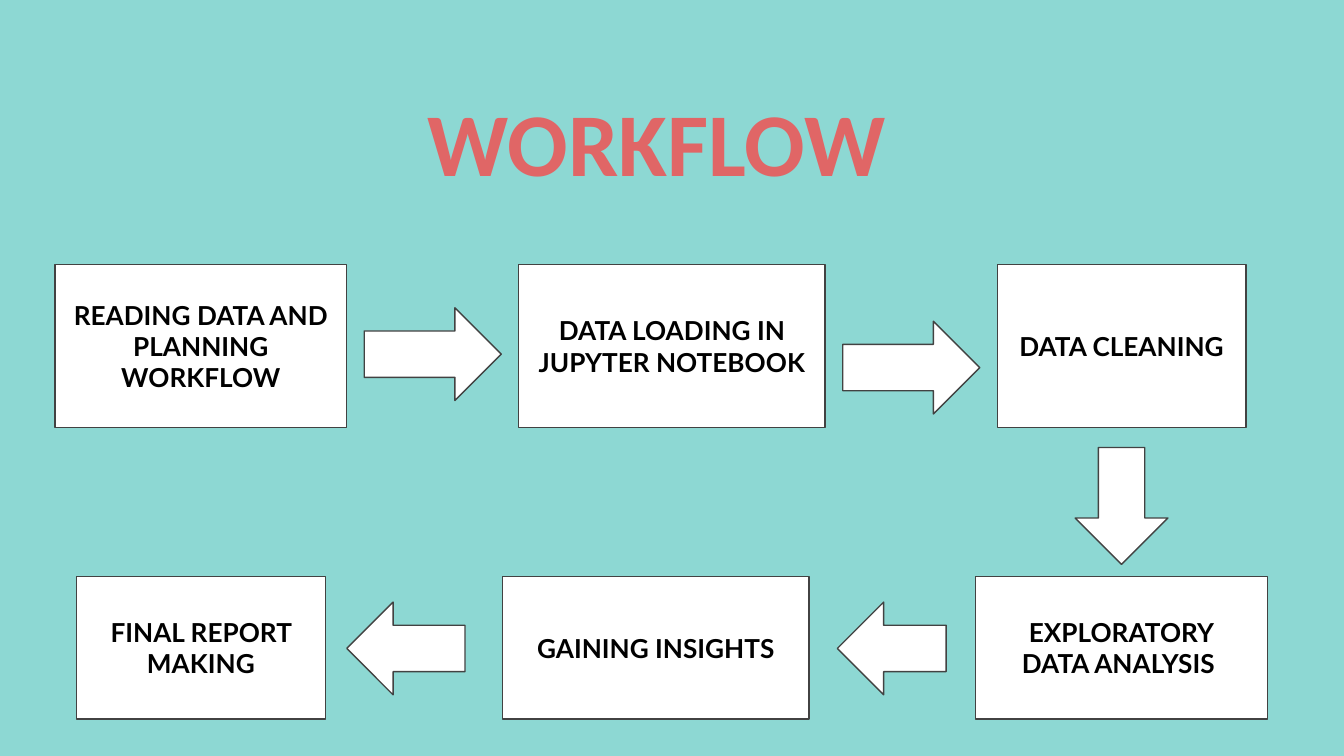
from dataclasses import dataclass

from pptx import Presentation
from pptx.dml.color import RGBColor
from pptx.enum.shapes import MSO_SHAPE
from pptx.enum.text import MSO_ANCHOR, MSO_AUTO_SIZE, PP_ALIGN
from pptx.shapes.autoshape import Shape
from pptx.slide import Slide
from pptx.text.text import TextFrame
from pptx.util import Inches, Pt


@dataclass(frozen=True)
class Theme:
    background: RGBColor = RGBColor(0x8D, 0xD8, 0xD3)
    title: RGBColor = RGBColor(0xE0, 0x66, 0x66)
    text: RGBColor = RGBColor(0, 0, 0)
    fill: RGBColor = RGBColor(0xFF, 0xFF, 0xFF)
    outline: RGBColor = RGBColor(0x42, 0x42, 0x42)
    title_font: str = "Calibri"
    step_font: str = "Lato"
    title_size: Pt = Pt(48)
    step_size: Pt = Pt(14)
    outline_width: Pt = Pt(0.75)


@dataclass(frozen=True)
class Row:
    top: float
    height: float


@dataclass(frozen=True)
class Step:
    text: str
    left: float
    width: float
    row: Row


@dataclass(frozen=True)
class Arrow:
    kind: MSO_SHAPE
    left: float
    top: float
    width: float
    height: float


THEME = Theme()
SLIDE_WIDTH = Inches(10)
SLIDE_HEIGHT = SLIDE_WIDTH * 9 // 16
INSET = Inches(0.1)
ARROW_BREADTH = 0.69
WIDE, MEDIUM, NARROW = 2.28, 2.17, 1.85
UPPER, LOWER = Row(1.97, 1.21), Row(4.29, 1.06)
LOWER_ARROW_TOP = 4.48

STEPS = [
    Step("READING DATA AND PLANNING WORKFLOW", 0.41, MEDIUM, UPPER),
    Step("DATA LOADING IN JUPYTER NOTEBOOK", 3.86, WIDE, UPPER),
    Step("DATA CLEANING", 7.42, NARROW, UPPER),
    Step("EXPLORATORY\nDATA ANALYSIS ", 7.26, MEDIUM, LOWER),
    Step("GAINING INSIGHTS", 3.74, WIDE, LOWER),
    Step("FINAL REPORT MAKING", 0.57, NARROW, LOWER),
]

ARROWS = [
    Arrow(MSO_SHAPE.RIGHT_ARROW, 2.71, 2.29, 1.02, ARROW_BREADTH),
    Arrow(MSO_SHAPE.RIGHT_ARROW, 6.27, 2.39, 1.02, ARROW_BREADTH),
    Arrow(MSO_SHAPE.DOWN_ARROW, 8, 3.33, ARROW_BREADTH, 0.87),
    Arrow(MSO_SHAPE.LEFT_ARROW, 6.23, LOWER_ARROW_TOP, 0.81, ARROW_BREADTH),
    Arrow(MSO_SHAPE.LEFT_ARROW, 2.58, LOWER_ARROW_TOP, 0.88, ARROW_BREADTH),
]


def apply_format(target: object, values: dict[str, object]) -> None:
    for name, value in values.items():
        setattr(target, name, value)


def write_text(frame: TextFrame, text: str, font: dict[str, object],
               color: RGBColor, layout: dict[str, object]) -> None:
    margins = {f"margin_{side}": INSET for side in ("left", "top", "right", "bottom")}
    apply_format(frame, {"word_wrap": True, **margins, **layout})
    frame.text = text
    for para in frame.paragraphs:
        para.alignment = PP_ALIGN.CENTER
        for span in para.runs:
            apply_format(span.font, {"bold": True, **font})
            span.font.color.rgb = color


def add_outlined(slide: Slide, kind: MSO_SHAPE, left: float, top: float,
                 width: float, height: float) -> Shape:
    shape = slide.shapes.add_shape(
        kind, Inches(left), Inches(top), Inches(width), Inches(height))
    shape.shadow.inherit = False
    shape.fill.solid()
    shape.fill.fore_color.rgb = THEME.fill
    shape.line.color.rgb = THEME.outline
    shape.line.width = THEME.outline_width
    return shape


def draw_title(slide: Slide) -> None:
    box = slide.shapes.add_textbox(Inches(0.82), Inches(0.55), Inches(8.13), Inches(1.01))
    write_text(box.text_frame, "WORKFLOW",
               {"name": THEME.title_font, "size": THEME.title_size}, THEME.title,
               {"auto_size": MSO_AUTO_SIZE.SHAPE_TO_FIT_TEXT})


def draw_step(slide: Slide, step: Step) -> None:
    box = add_outlined(slide, MSO_SHAPE.RECTANGLE, step.left, step.row.top,
                       step.width, step.row.height)
    write_text(box.text_frame, step.text,
               {"name": THEME.step_font, "size": THEME.step_size}, THEME.text,
               {"vertical_anchor": MSO_ANCHOR.MIDDLE})


def draw_arrow(slide: Slide, arrow: Arrow) -> None:
    add_outlined(slide, arrow.kind, arrow.left, arrow.top, arrow.width, arrow.height)


def main() -> None:
    # Deck and background
    deck = Presentation()
    apply_format(deck, {"slide_width": SLIDE_WIDTH, "slide_height": SLIDE_HEIGHT})
    page = deck.slides.add_slide(deck.slide_layouts[6])
    page.background.fill.solid()
    page.background.fill.fore_color.rgb = THEME.background

    # Title, steps and the arrows between them
    draw_title(page)
    for step in STEPS:
        draw_step(page, step)
    for arrow in ARROWS:
        draw_arrow(page, arrow)

    deck.save("out.pptx")


if __name__ == "__main__":
    main()
